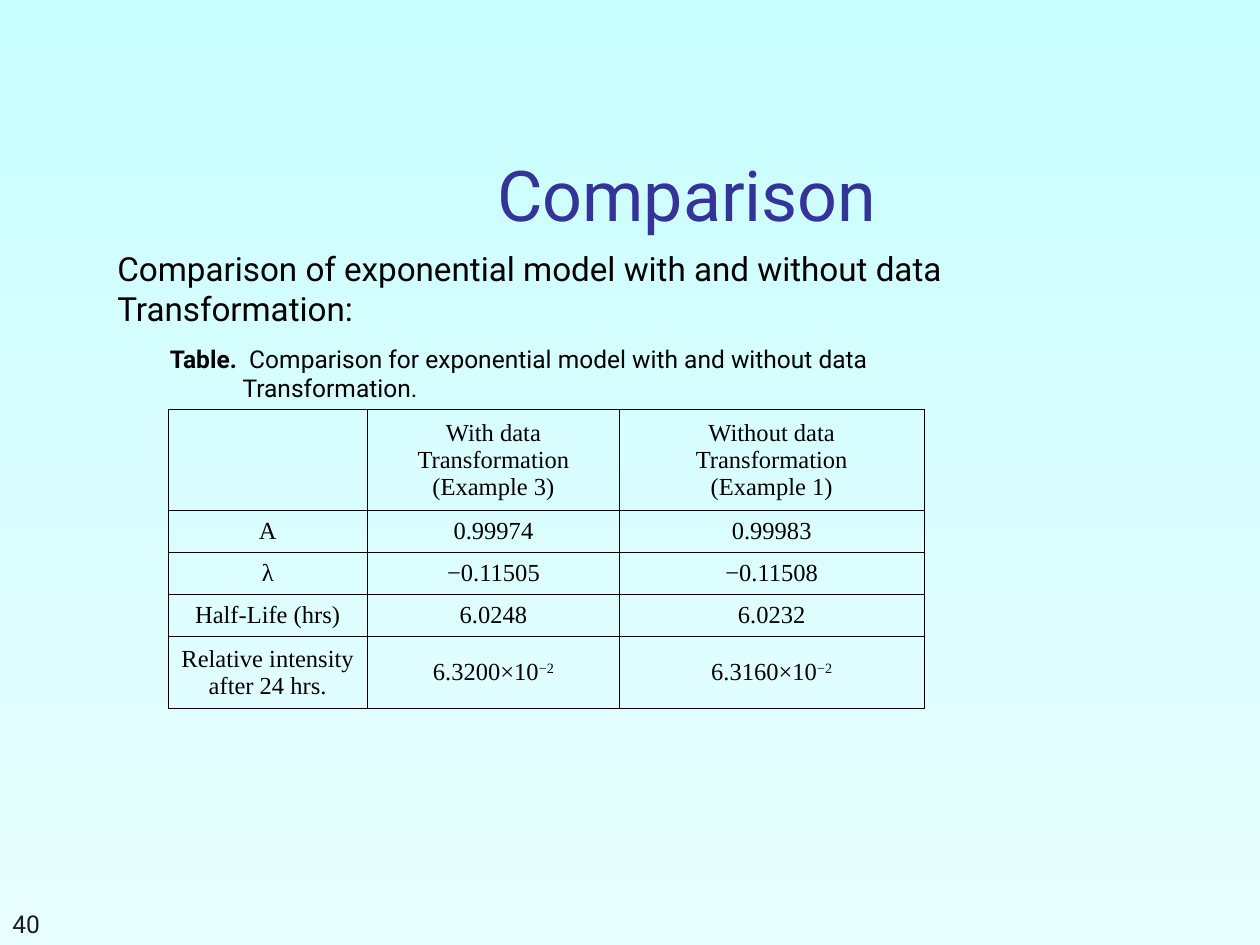
from lxml import etree
from pptx import Presentation
from pptx.dml.color import RGBColor
from pptx.enum.text import MSO_ANCHOR as Anchor, PP_ALIGN as Align
from pptx.oxml.ns import qn
from pptx.util import Pt

COLORS = {
    "top": "C9FEFF",
    "bottom": "E9FEFF",
    "title": "333399",
    "text": "000000",
    "number": "1C1C1C",
}
SANS = "Roboto"
SERIF = "Times New Roman"
COLUMN_WIDTHS = [114, 144, 174]
ROW_HEIGHTS = [57.6, 24, 24, 24, 41]
ROWS = [
    ["", "With data Transformation\n(Example 3)", "Without data Transformation\n(Example 1)"],
    ["A", "0.99974", "0.99983"],
    ["λ", "−0.11505", "−0.11508"],
    ["Half-Life (hrs)", "6.0248", "6.0232"],
    ["Relative intensity after 24 hrs.", "6.3200×10^−2", "6.3160×10^−2"],
]


def style(paragraph, size, color="text", name=SANS, align=Align.LEFT):
    paragraph.alignment = align
    font = paragraph.font
    font.size = Pt(size)
    font.name = name
    font.color.rgb = RGBColor.from_string(COLORS[color])


def paint_background(slide):
    fill = slide.background.fill
    fill.gradient()
    fill.gradient_angle = 270
    for stop, color in zip(fill.gradient_stops, ("top", "bottom")):
        stop.color.rgb = RGBColor.from_string(COLORS[color])


def place_title(slide, left, top, width, height):
    title = slide.shapes.title
    title.left, title.top, title.width, title.height = map(Pt, (left, top, width, height))
    frame = title.text_frame
    frame.text = "Comparison "
    frame.vertical_anchor = Anchor.BOTTOM
    style(frame.paragraphs[0], 40, "title", align=Align.CENTER)


def add_text(slide, left, top, width, height, text, size, color="text", anchor=Anchor.TOP):
    box = slide.shapes.add_textbox(Pt(left), Pt(top), Pt(width), Pt(height))
    frame = box.text_frame
    frame.word_wrap = True
    frame.vertical_anchor = anchor
    frame.text = text
    style(frame.paragraphs[0], size, color)
    return frame


def add_caption(slide, left, top, width, height):
    frame = add_text(slide, left, top, width, height, "Table. ", 14)
    first = frame.paragraphs[0]
    first.runs[0].font.bold = True
    first.add_run().text = " Comparison for exponential model with and without data"
    second = frame.add_paragraph()
    second.text = "Transformation."
    second._p.get_or_add_pPr().set("marL", str(Pt(41.5)))
    style(second, 14)


def add_borders(cell):
    properties = cell._tc.get_or_add_tcPr()
    for side in ("lnL", "lnR", "lnT", "lnB"):
        line = etree.SubElement(properties, qn(f"a:{side}"), w=str(Pt(0.45)))
        fill = etree.SubElement(line, qn("a:solidFill"))
        etree.SubElement(fill, qn("a:srgbClr"), val=COLORS["text"])


def fill_cell(cell, text):
    add_borders(cell)
    cell.fill.background()
    cell.vertical_anchor = Anchor.MIDDLE
    base, _, exponent = text.partition("^")
    frame = cell.text_frame
    frame.text = base
    if exponent:
        run = frame.paragraphs[0].add_run()
        run.text = exponent
        run._r.get_or_add_rPr().set("baseline", "30000")
    for paragraph in frame.paragraphs:
        style(paragraph, 14, name=SERIF, align=Align.CENTER)


def add_comparison_table(slide, left, top):
    table = slide.shapes.add_table(
        len(ROWS), len(COLUMN_WIDTHS), Pt(left), Pt(top),
        Pt(sum(COLUMN_WIDTHS)), Pt(sum(ROW_HEIGHTS)),
    ).table
    table.first_row = table.horz_banding = False
    for column, width in zip(table.columns, COLUMN_WIDTHS):
        column.width = Pt(width)
    for row, height, texts in zip(table.rows, ROW_HEIGHTS, ROWS):
        row.height = Pt(height)
        for cell, text in zip(row.cells, texts):
            fill_cell(cell, text)


def main():
    presentation = Presentation()
    presentation.slide_width = Pt(720)
    presentation.slide_height = Pt(540)
    slide = presentation.slides.add_slide(presentation.slide_layouts[5])
    paint_background(slide)
    place_title(slide, 90.7, 48.2, 613.4, 90)
    add_text(slide, 60, 138.2, 600, 53.3,
             "Comparison of exponential model with and without data Transformation:", 19)
    add_comparison_table(slide, 96, 234)
    add_caption(slide, 90, 193, 444, 41)
    add_text(slide, 0, 504, 150, 36, "40", 14, "number", Anchor.BOTTOM)
    presentation.save("out.pptx")


if __name__ == "__main__":
    main()
